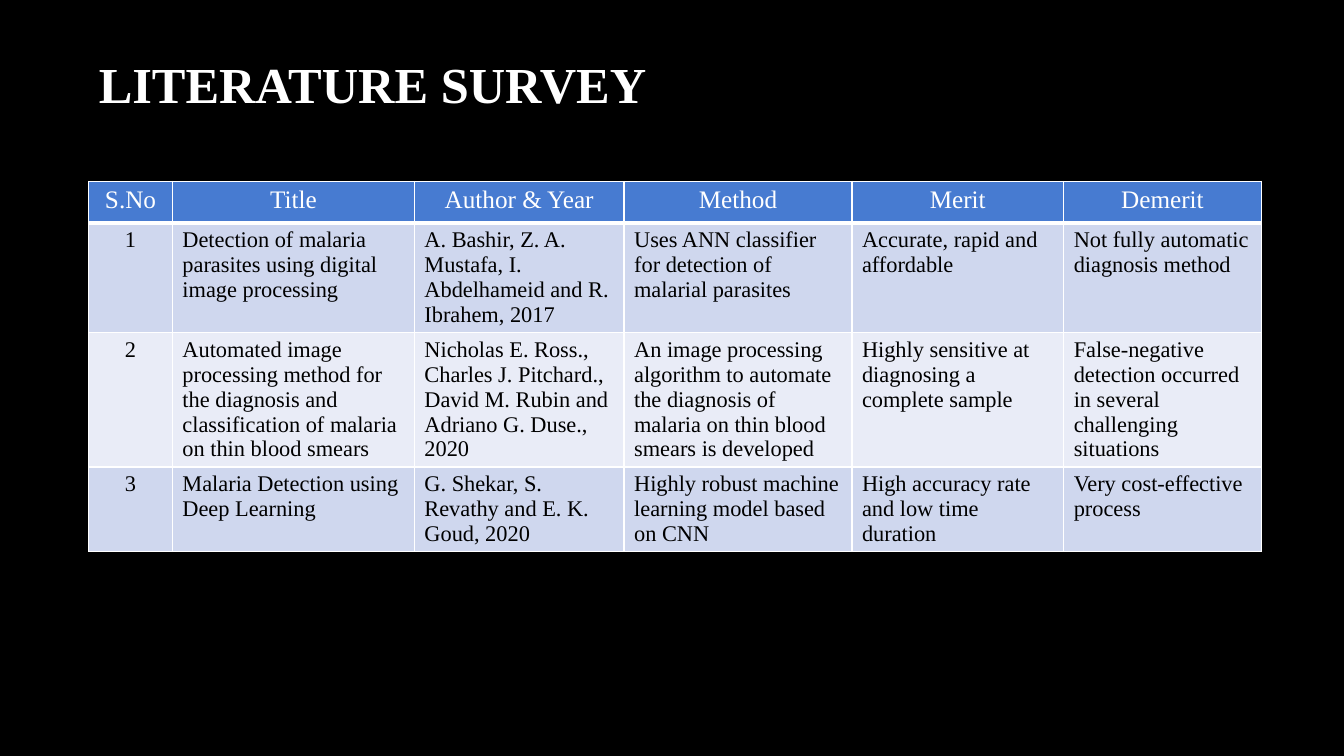
from dataclasses import dataclass

from lxml import etree
from pptx import Presentation
from pptx.dml.color import RGBColor
from pptx.enum.text import MSO_ANCHOR, PP_ALIGN
from pptx.oxml.ns import qn
from pptx.slide import Slide
from pptx.table import _Cell
from pptx.text.text import TextFrame
from pptx.util import Inches, Pt

LEFT, CENTER = PP_ALIGN.LEFT, PP_ALIGN.CENTER
MIDDLE = MSO_ANCHOR.MIDDLE
TITLE_ONLY_LAYOUT = 5


@dataclass(frozen=True)
class Theme:
    font: str = "Times New Roman"
    background: str = "000000"
    light_text: str = "FFFFFF"
    dark_text: str = "000000"
    border: str = "FFFFFF"
    header_fill: str = "477BD1"
    band_fills: tuple[str, str] = ("CFD7EE", "E9ECF7")
    title_size: int = 36
    header_size: int = 18
    body_size: int = 16
    thin_border: int = 1
    header_border: int = 3


@dataclass(frozen=True)
class Column:
    heading: str
    width: float
    align: PP_ALIGN = LEFT


@dataclass(frozen=True)
class Study:
    title: str
    authors: str
    method: str
    merit: str
    demerit: str
    row_height: float


THEME = Theme()
HEADER_HEIGHT = 0.41
COLUMNS = [
    Column("S.No", 0.83, CENTER),
    Column("Title", 2.4),
    Column("Author & Year", 2.08),
    Column("Method", 2.26),
    Column("Merit", 2.1),
    Column("Demerit", 1.96),
]
STUDIES = [
    Study(
        "Detection of malaria parasites using digital image processing",
        "A. Bashir, Z. A. Mustafa, I. Abdelhameid and R. Ibrahem, 2017",
        "Uses ANN classifier for detection of malarial parasites",
        "Accurate, rapid and affordable",
        "Not fully automatic diagnosis method",
        1.08,
    ),
    Study(
        "Automated image processing method for the diagnosis and "
        "classification of malaria on thin blood smears",
        "Nicholas E. Ross., Charles J. Pitchard., David M. Rubin and "
        "Adriano G. Duse., 2020",
        "An image processing algorithm to automate the diagnosis of malaria "
        "on thin blood smears is developed",
        "Highly sensitive at diagnosing a complete sample",
        "False-negative detection occurred in several challenging situations",
        1.33,
    ),
    Study(
        "Malaria Detection using Deep Learning",
        "G. Shekar, S. Revathy and E. K. Goud, 2020",
        "Highly robust machine learning model based on CNN",
        "High accuracy rate and low time duration",
        "Very cost-effective process",
        0.83,
    ),
]


def write_text(frame: TextFrame, text: str, *, size: int, color: str,
               align: PP_ALIGN = LEFT, bold: bool = False) -> None:
    paragraph = frame.paragraphs[0]
    paragraph.alignment = align
    run = paragraph.add_run()
    run.text = text
    run.font.name = THEME.font
    run.font.size = Pt(size)
    run.font.bold = bold
    run.font.color.rgb = RGBColor.from_string(color)


def style_cell(cell: _Cell, fill: str, top: int, bottom: int) -> None:
    """Set borders, then the fill, in the order the file format requires."""
    properties = cell._tc.get_or_add_tcPr()
    thin = THEME.thin_border
    for side, width in (("L", thin), ("R", thin), ("T", top), ("B", bottom)):
        line = etree.SubElement(properties, qn(f"a:ln{side}"), w=str(Pt(width)))
        solid = etree.SubElement(line, qn("a:solidFill"))
        etree.SubElement(solid, qn("a:srgbClr"), val=THEME.border)
    cell.fill.solid()
    cell.fill.fore_color.rgb = RGBColor.from_string(fill)


def add_title(slide: Slide) -> None:
    title = slide.shapes.title
    title.left, title.top = Inches(0.88), Inches(0.31)
    title.width, title.height = Inches(11.32), Inches(1.04)
    title.text_frame.vertical_anchor = MIDDLE
    write_text(title.text_frame, "LITERATURE SURVEY", size=THEME.title_size,
               color=THEME.light_text, bold=True)


def add_survey_table(slide: Slide) -> None:
    heights = [HEADER_HEIGHT] + [study.row_height for study in STUDIES]
    width = sum(column.width for column in COLUMNS)
    survey = slide.shapes.add_table(
        len(heights), len(COLUMNS), Inches(0.88), Inches(1.8),
        Inches(width), Inches(sum(heights))).table
    for row, height in zip(survey.rows, heights):
        row.height = Inches(height)

    for col, column in enumerate(COLUMNS):
        survey.columns[col].width = Inches(column.width)
        heading = survey.cell(0, col)
        style_cell(heading, THEME.header_fill, THEME.thin_border,
                   THEME.header_border)
        write_text(heading.text_frame, column.heading, size=THEME.header_size,
                   color=THEME.light_text, align=CENTER)

    for number, study in enumerate(STUDIES, start=1):
        entries = (str(number), study.title, study.authors, study.method,
                   study.merit, study.demerit)
        fill = THEME.band_fills[(number - 1) % 2]
        top = THEME.header_border if number == 1 else THEME.thin_border
        for col, (column, entry) in enumerate(zip(COLUMNS, entries)):
            cell = survey.cell(number, col)
            style_cell(cell, fill, top, THEME.thin_border)
            write_text(cell.text_frame, entry, size=THEME.body_size,
                       color=THEME.dark_text, align=column.align)


def main() -> None:
    deck = Presentation()
    deck.slide_width, deck.slide_height = Inches(13.33), Inches(7.5)
    slide = deck.slides.add_slide(deck.slide_layouts[TITLE_ONLY_LAYOUT])
    background = slide.background.fill
    background.solid()
    background.fore_color.rgb = RGBColor.from_string(THEME.background)
    add_title(slide)
    add_survey_table(slide)
    deck.save("out.pptx")


if __name__ == "__main__":
    main()
